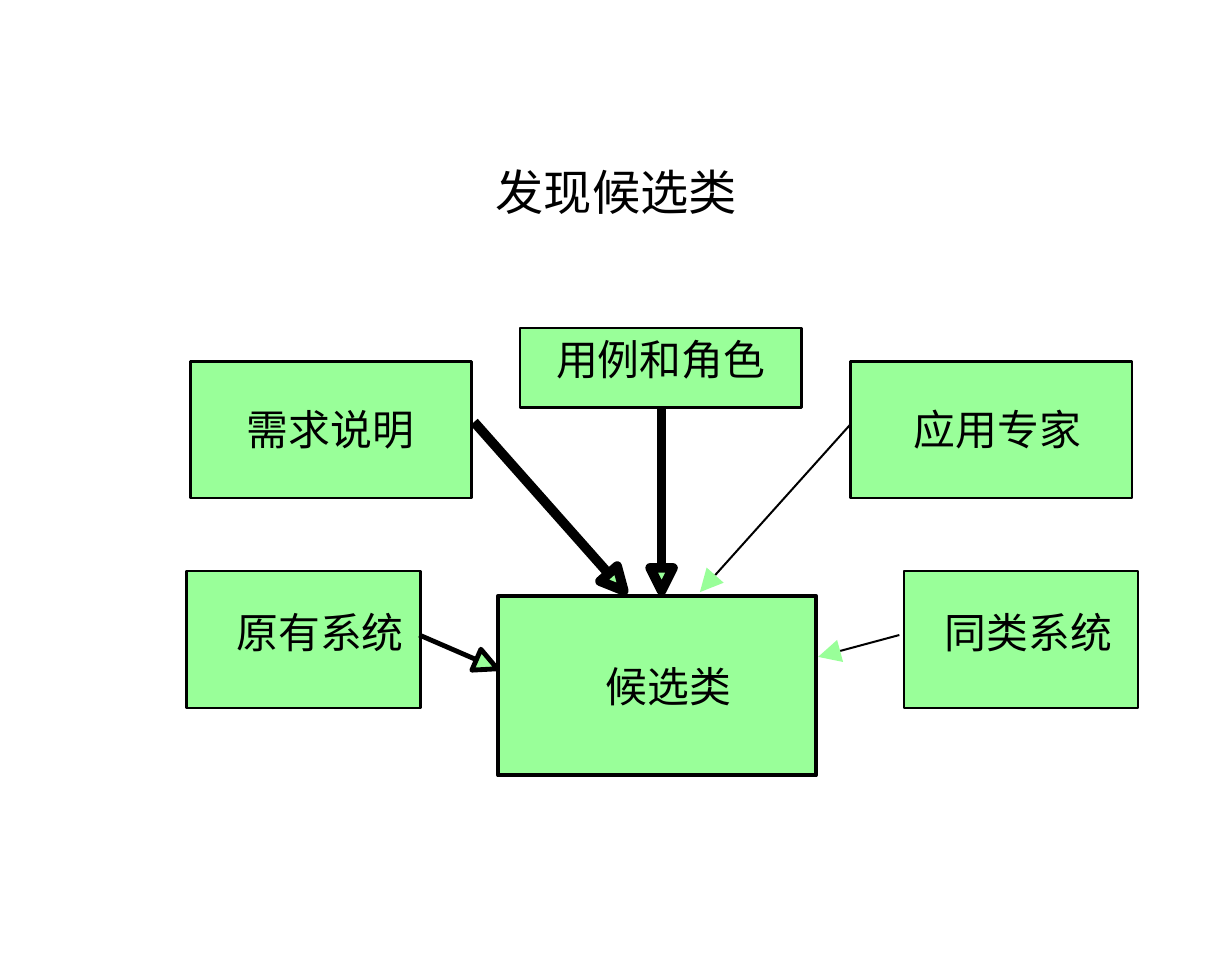
from math import hypot

from lxml import etree
from pptx import Presentation
from pptx.dml.color import RGBColor
from pptx.enum.shapes import MSO_CONNECTOR, MSO_SHAPE
from pptx.enum.text import MSO_ANCHOR, PP_ALIGN
from pptx.oxml.ns import qn
from pptx.util import Cm, Pt

RECT = MSO_SHAPE.RECTANGLE
STRAIGHT = MSO_CONNECTOR.STRAIGHT
TOP, MIDDLE = MSO_ANCHOR.TOP, MSO_ANCHOR.MIDDLE
LEFT, CENTER = PP_ALIGN.LEFT, PP_ALIGN.CENTER

FONT = "Times New Roman"
BLACK, GREEN = "000000", "99FF99"
LABEL_SIZE = 26
LABEL_HEIGHT = 1.09
HEAD_LENGTH, HEAD_HALF_WIDTH = 0.5, 0.25

SOURCES = [
    ("应用专家", (18.64, 7.92, 6.17, 3), (1.38, 0.94)),
    ("需求说明", (4.17, 7.92, 6.17, 3), (1.24, 0.94)),
    ("原有系统", (4.09, 12.52, 5.13, 3), (1.09, 0.79)),
    ("同类系统", (19.81, 12.52, 5.13, 3), (0.89, 0.79)),
]
TARGET = ("候选类", (10.92, 13.06, 6.96, 3.94), (2.36, 1.42))
USE_CASES = ("用例和角色", (11.4, 7.19, 6.17, 1.75))
ARROWS = [
    ((10.39, 9.25), (13.67, 12.95), 6, True),
    ((14.5, 8.31), (14.5, 12.95), 6, True),
    ((19.71, 13.92), (17.93, 14.4), 1.25, False),
    ((9.19, 13.92), (10.9, 14.66), 3, True),
    ((18.64, 9.3), (15.34, 12.98), 1.25, False),
]


def color(value):
    return RGBColor.from_string(value)


def style(sp, line_width):
    sp.shadow.inherit = False
    sp.fill.solid()
    sp.fill.fore_color.rgb = color(GREEN)
    if line_width:
        sp.line.color.rgb = color(BLACK)
        sp.line.width = Pt(line_width)
    else:
        sp.line.fill.background()


def write(sp, text, size, align, anchor, wrap=True, insets=(0.28, 0.13)):
    tf = sp.text_frame
    tf.word_wrap = wrap
    tf.vertical_anchor = anchor
    tf.margin_left = tf.margin_right = Cm(insets[0])
    tf.margin_top = tf.margin_bottom = Cm(insets[1])
    p = tf.paragraphs[0]
    p.alignment = align
    r = p.add_run()
    r.text = text
    r.font.name = FONT
    r.font.size = Pt(size)
    r.font.color.rgb = color(BLACK)


def add_box(s, box, line_width):
    sp = s.shapes.add_shape(RECT, *map(Cm, box))
    style(sp, line_width)
    return sp


def add_title(s, text, box):
    sp = s.shapes.add_textbox(*map(Cm, box))
    write(sp, text, 30, CENTER, MIDDLE)


def add_labelled_box(s, text, box, offset, line_width):
    add_box(s, box, line_width)
    label_width = len(text) * LABEL_SIZE * 2.54 / 72
    label_box = (box[0] + offset[0], box[1] + offset[1], label_width, LABEL_HEIGHT)
    label = add_box(s, label_box, None)
    write(label, text, LABEL_SIZE, LEFT, TOP, wrap=False, insets=(0, 0))


def add_arrow(s, start, tip, width, outlined):
    dx, dy = tip[0] - start[0], tip[1] - start[1]
    length = hypot(dx, dy)
    ux, uy = dx / length, dy / length
    base = (tip[0] - HEAD_LENGTH * ux, tip[1] - HEAD_LENGTH * uy)
    side = (-HEAD_HALF_WIDTH * uy, HEAD_HALF_WIDTH * ux)
    corners = [
        (Cm(x), Cm(y))
        for x, y in (
            (base[0] + side[0], base[1] + side[1]),
            tip,
            (base[0] - side[0], base[1] - side[1]),
        )
    ]

    group = s.shapes.add_group_shape()
    shaft = group.shapes.add_connector(STRAIGHT, *map(Cm, start + base))
    shaft.line.color.rgb = color(BLACK)
    shaft.line.width = Pt(width)
    etree.SubElement(shaft._element.spPr, qn("a:effectLst"))

    outline = group.shapes.build_freeform(*corners[0])
    outline.add_line_segments(corners[1:], close=True)
    style(outline.convert_to_shape(), width if outlined else None)


def add_diagram(s):
    for text, box, offset in SOURCES:
        add_labelled_box(s, text, box, offset, 1.62)
    add_labelled_box(s, *TARGET, 2.5)
    for arrow in ARROWS:
        add_arrow(s, *arrow)
    text, box = USE_CASES
    write(add_box(s, box, 1.64), text, LABEL_SIZE, CENTER, TOP)


def main():
    prs = Presentation()
    prs.slide_width, prs.slide_height = Cm(27), Cm(21)
    s = prs.slides.add_slide(prs.slide_layouts[6])
    add_title(s, "发现候选类", (2.03, 3.02, 22.96, 2.34))
    add_diagram(s)
    prs.save("out.pptx")


if __name__ == "__main__":
    main()
